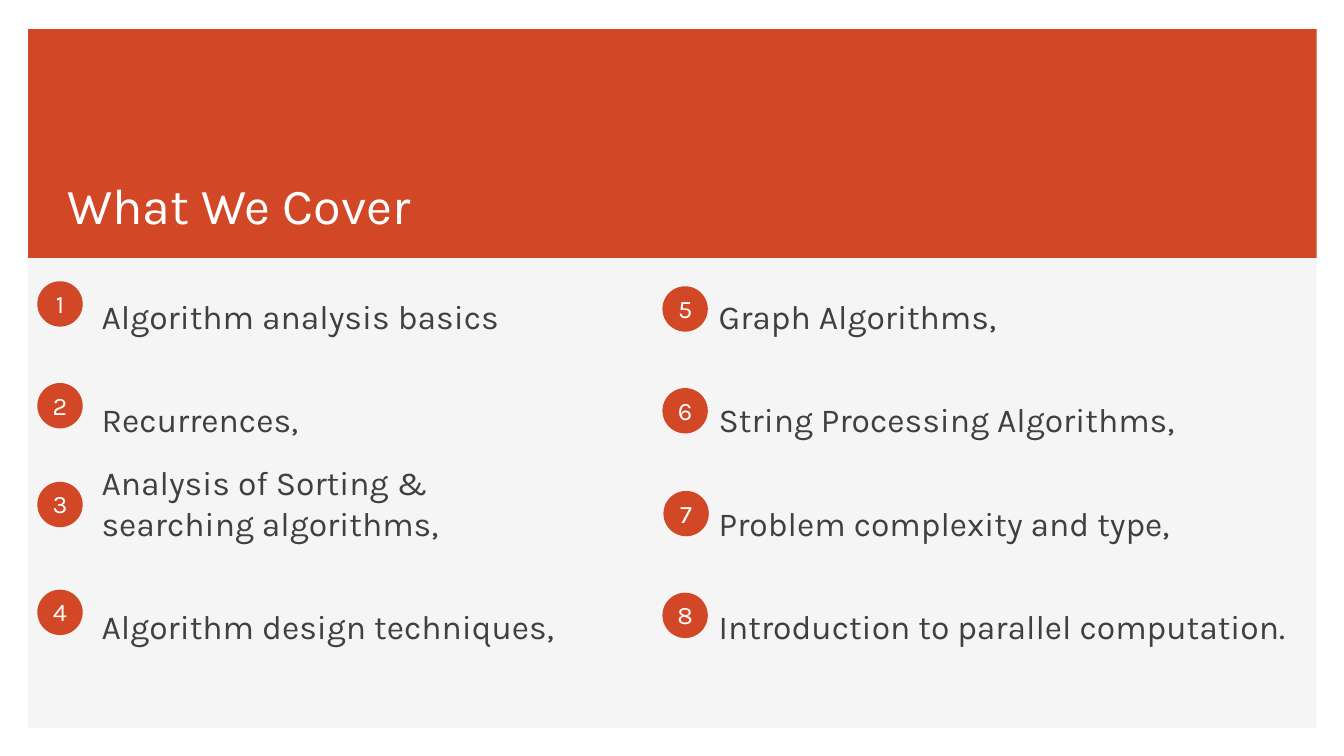
from dataclasses import dataclass

from pptx import Presentation
from pptx.dml.color import RGBColor
from pptx.enum.shapes import MSO_SHAPE as Preset
from pptx.enum.text import MSO_ANCHOR as Anchor, MSO_AUTO_SIZE as AutoSize, PP_ALIGN as Align
from pptx.util import Inches, Pt

ORANGE = "D24726"
PALE = "F5F5F5"
WHITE = "FFFFFF"
DARK = "404040"
FONT = "Karla"


@dataclass
class Topic:
    text: str
    badge_left: float
    badge_top: float
    spacing: float = 2.0


@dataclass
class Column:
    left: float
    width: float
    height: float
    topics: list[Topic]


COLUMNS = [
    Column(0.91, 5.0, 4.68, [
        Topic("Algorithm analysis basics", 0.37, 2.79),
        Topic("Recurrences,", 0.37, 3.8),
        Topic("Analysis of Sorting & searching algorithms,", 0.37, 4.78, 1.0),
        Topic("Algorithm design techniques,", 0.37, 5.85),
    ]),
    Column(7.03, 6.07, 4.48, [
        Topic("Graph Algorithms,", 6.57, 2.84),
        Topic("String Processing Algorithms,", 6.57, 3.85),
        Topic("Problem complexity and type,", 6.58, 4.87),
        Topic("Introduction to parallel computation.", 6.57, 5.88),
    ]),
]


def color(value: str) -> RGBColor:
    return RGBColor.from_string(value)


def add_filled(shapes, preset, left: float, top: float, width: float, height: float, fill: str) -> None:
    shape = shapes.add_shape(preset, Inches(left), Inches(top), Inches(width), Inches(height))
    shape.shadow.inherit = False
    shape.fill.solid()
    shape.fill.fore_color.rgb = color(fill)
    shape.line.fill.background()


def add_text(shapes, text: str, left: float, top: float, width: float, height: float,
             size: float, ink: str, align=Align.LEFT):
    frame = shapes.add_textbox(Inches(left), Inches(top), Inches(width), Inches(height)).text_frame
    frame.word_wrap = True
    frame.text = text
    for paragraph in frame.paragraphs:
        paragraph.alignment = align
        for run in paragraph.runs:
            run.font.name = FONT
            run.font.size = Pt(size)
            run.font.color.rgb = color(ink)
    return frame


def add_column(shapes, column: Column) -> None:
    text = "\n".join(topic.text for topic in column.topics)
    frame = add_text(shapes, text, column.left, 2.49, column.width, column.height, 24, DARK)
    for index, (paragraph, topic) in enumerate(zip(frame.paragraphs, column.topics)):
        paragraph.line_spacing = topic.spacing
        paragraph.space_before = Pt(10 if index else 0)
        paragraph.space_after = Pt(6)


def add_badge(shapes, number: int, topic: Topic) -> None:
    group = shapes.add_group_shape()
    left, top = topic.badge_left, topic.badge_top
    add_filled(group.shapes, Preset.OVAL, left, top, 0.45, 0.45, ORANGE)
    frame = add_text(group.shapes, str(number), left - 0.08, top + 0.02, 0.61, 0.4,
                     18, WHITE, Align.CENTER)
    frame.auto_size = AutoSize.SHAPE_TO_FIT_TEXT


def main() -> None:
    presentation = Presentation()
    presentation.slide_width = Inches(13.33)
    presentation.slide_height = Inches(7.5)
    shapes = presentation.slides.add_slide(presentation.slide_layouts[6]).shapes

    add_filled(shapes, Preset.RECTANGLE, 0.28, 0.29, 12.78, 6.93, PALE)
    add_filled(shapes, Preset.RECTANGLE, 0.28, 0.29, 12.78, 2.27, ORANGE)
    title = add_text(shapes, "What We Cover", 0.57, 1.68, 7.52, 0.7, 36, WHITE)
    title.vertical_anchor = Anchor.BOTTOM

    for column in COLUMNS:
        add_column(shapes, column)
    topics = [topic for column in COLUMNS for topic in column.topics]
    for number, topic in enumerate(topics, start=1):
        add_badge(shapes, number, topic)

    presentation.save("out.pptx")


if __name__ == "__main__":
    main()
